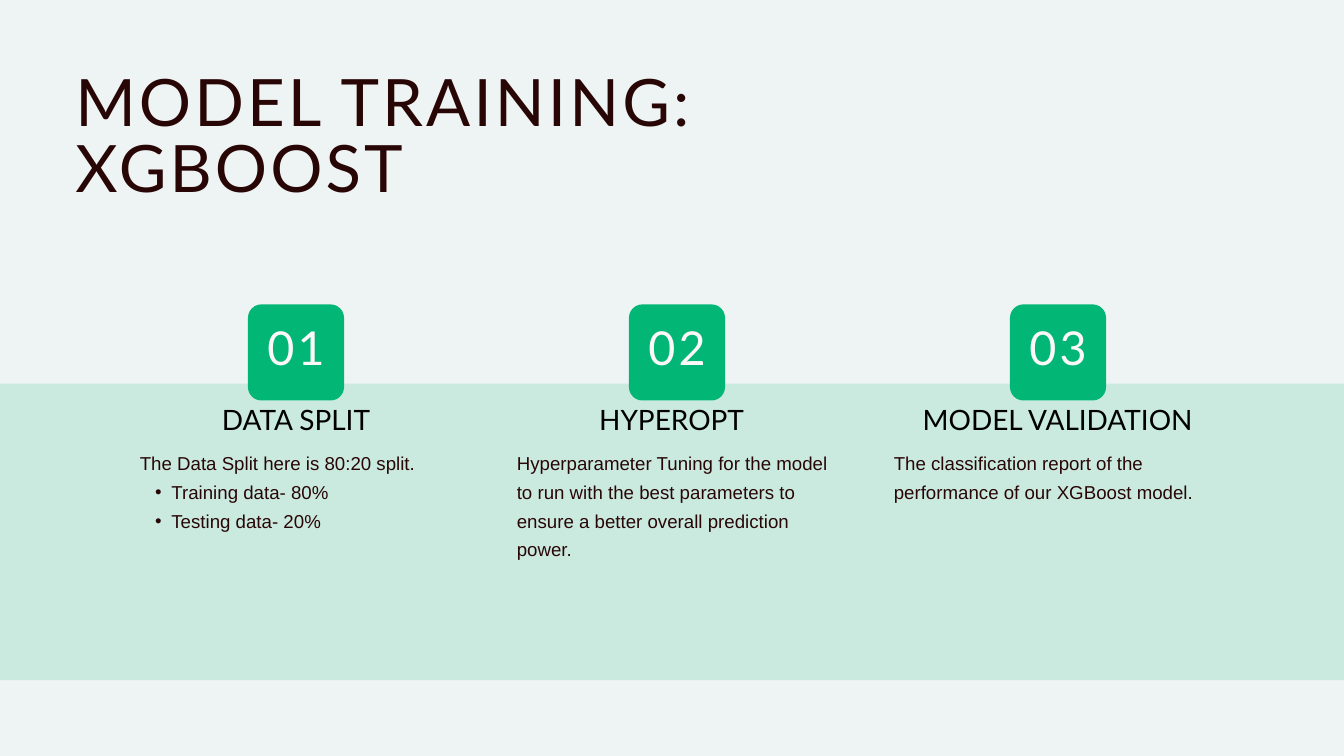
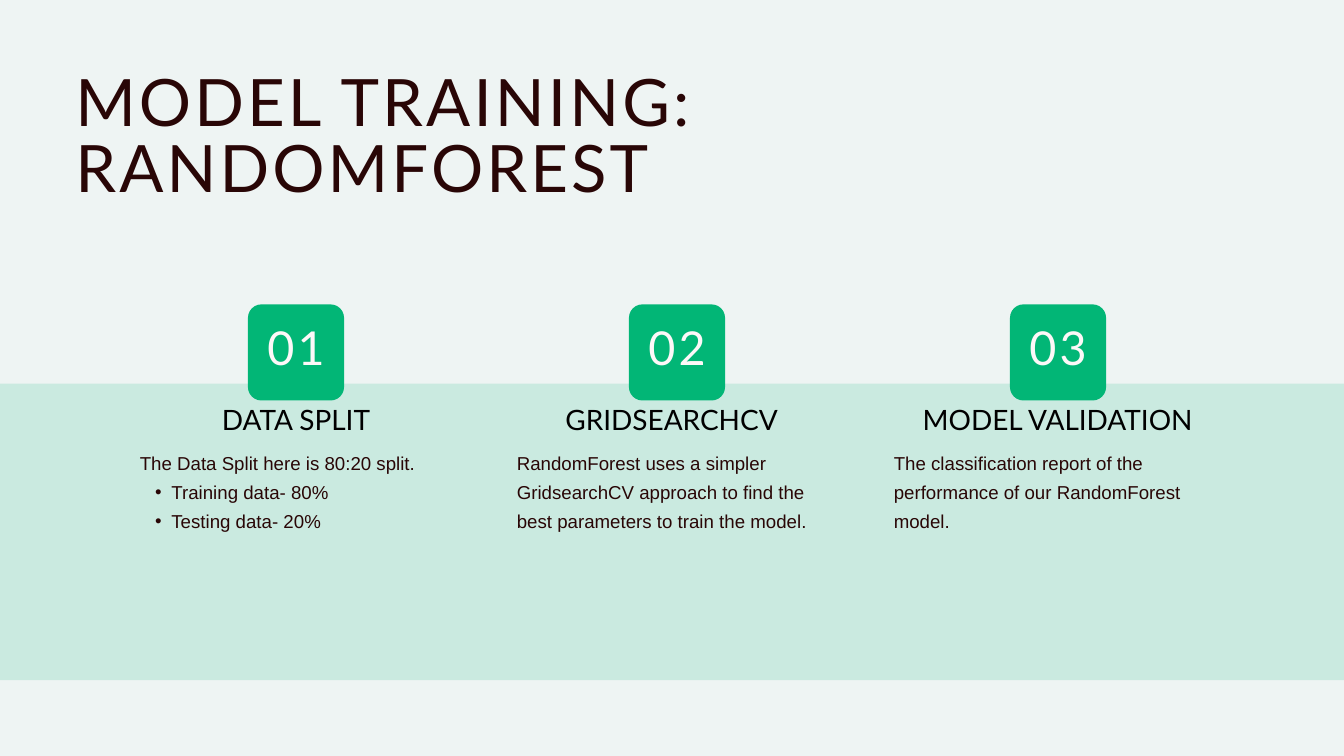
from dataclasses import dataclass

from lxml import etree
from pptx import Presentation
from pptx import util as u
from pptx.dml.color import RGBColor
from pptx.enum import shapes, text
from pptx.oxml.ns import qn


@dataclass(frozen=True)
class Style:
    font: str
    size: float
    color: str
    line: float
    spacing: float = 0
    align: text.PP_ALIGN = text.PP_ALIGN.LEFT


@dataclass(frozen=True)
class Theme:
    background: str = "EEF4F3"
    green: str = "02B676"
    band_opacity: int = 15
    title: Style = Style("Lato", 70, "290606", 70, 3.4)
    number: Style = Style("Lato", 50, "FDF8F8", 51.5, 3.5, text.PP_ALIGN.CENTER)
    heading: Style = Style("Lato", 30, "000000", 42, 0, text.PP_ALIGN.CENTER)
    body: Style = Style("Arial", 20, "290606", 30.8)


@dataclass(frozen=True)
class Area:
    left: float
    top: float
    width: float
    height: float

    def lengths(self) -> tuple:
        return tuple(u.Inches(n) for n in (self.left, self.top, self.width, self.height))


@dataclass(frozen=True)
class Step:
    heading: str
    intro: str
    bullets: tuple[str, ...] = ()


@dataclass(frozen=True)
class Page:
    title: str
    steps: tuple[Step, ...]


THEME = Theme()
TITLE_AREA = Area(1.12, 1.11, 10, 2.14)
BAND_AREA = Area(-0.43, 5.71, 20.85, 4.41)
HEADING_AREAS = (Area(2.62, 5.9, 3.57, 0.65), Area(8.21, 5.9, 3.57, 0.65),
                 Area(13.71, 5.9, 4.06, 0.65))
BADGE_LEFT, BADGE_TOP, BADGE_SIZE, BADGE_PITCH = 3.69, 4.53, 1.43, 5.67
BODY_LEFT, BODY_TOP, BODY_PITCH = 2.08, 6.63, 5.61
BODY_WIDTH, BODY_HEIGHT = 4.88, 1.72

DATA_SPLIT = Step("DATA SPLIT", "The Data Split here is 80:20 split.",
                  ("Training data- 80%", "Testing data- 20%"))


def validation(model: str) -> Step:
    return Step("MODEL VALIDATION",
                f"The classification report of the performance of our {model} model.")


PAGES = (
    Page("MODEL TRAINING: XGBOOST", (
        DATA_SPLIT,
        Step("HYPEROPT", "Hyperparameter Tuning for the model to run with the best "
             "parameters to ensure a better overall prediction power."),
        validation("XGBoost"))),
    Page("MODEL TRAINING: RANDOMFOREST", (
        DATA_SPLIT,
        Step("GRIDSEARCHCV", "RandomForest uses a simpler GridsearchCV approach to find "
             "the best parameters to train the model."),
        validation("RandomForest"))),
)


# Text
def set_bullet(para, bulleted: bool) -> None:
    props = para._p.get_or_add_pPr()
    margin, indent = (0.47, -0.24) if bulleted else (0, 0)
    props.set("marL", str(u.Inches(margin)))
    props.set("indent", str(u.Inches(indent)))
    if bulleted:
        etree.SubElement(props, qn("a:buFont")).set("typeface", "Arial")
        etree.SubElement(props, qn("a:buChar")).set("char", "•")
    else:
        etree.SubElement(props, qn("a:buNone"))


def write(box, lines: tuple[str, ...], style: Style,
          anchor=text.MSO_ANCHOR.TOP, inset: float = 0) -> None:
    """Fill a box; every line after the first is a bullet."""
    frame = box.text_frame
    frame.word_wrap = True
    frame.auto_size = text.MSO_AUTO_SIZE.NONE
    frame.vertical_anchor = anchor
    frame.margin_left = frame.margin_right = u.Inches(inset)
    frame.margin_top = frame.margin_bottom = u.Inches(inset)
    for index, line in enumerate(lines):
        para = frame.add_paragraph() if index else frame.paragraphs[0]
        para.level = 1 if index else 0
        para.alignment = style.align
        para.line_spacing = u.Pt(style.line)
        para.space_before = para.space_after = u.Pt(0)
        set_bullet(para, index > 0)
        span = para.add_run()
        span.text = line
        span.font.name = style.font
        span.font.size = u.Pt(style.size)
        span.font.color.rgb = RGBColor.from_string(style.color)
        if style.spacing:
            span._r.get_or_add_rPr().set("spc", str(round(style.spacing * 100)))


def place(box, area: Area) -> None:
    box.left, box.top, box.width, box.height = area.lengths()


# Shapes
def add_panel(page, area: Area, radius: float):
    panel = page.shapes.add_shape(shapes.MSO_SHAPE.ROUNDED_RECTANGLE, *area.lengths())
    panel.adjustments[0] = radius / min(area.width, area.height)
    panel.shadow.inherit = False
    panel.fill.solid()
    panel.fill.fore_color.rgb = RGBColor.from_string(THEME.green)
    panel.line.fill.background()
    return panel


def add_band(page) -> None:
    band = add_panel(page, BAND_AREA, 0.04)
    color = band.element.spPr.find(f".//{qn('a:srgbClr')}")
    etree.SubElement(color, qn("a:alpha")).set("val", str(THEME.band_opacity * 1000))
    # Behind the placeholders
    band.element.getparent().insert(2, band.element)


def add_badge(page, index: int) -> None:
    left = BADGE_LEFT + index * BADGE_PITCH
    badge = add_panel(page, Area(left, BADGE_TOP, BADGE_SIZE, BADGE_SIZE), 0.2)
    write(badge, (f"{index + 1:02d}",), THEME.number, text.MSO_ANCHOR.MIDDLE, 0.06)
    badge.text_frame.margin_bottom = u.Inches(0.11)


def add_step(page, index: int, step: Step) -> None:
    add_badge(page, index)
    heading = page.shapes.add_textbox(*HEADING_AREAS[index].lengths())
    write(heading, (step.heading,), THEME.heading)
    area = Area(BODY_LEFT + index * BODY_PITCH, BODY_TOP, BODY_WIDTH, BODY_HEIGHT)
    if step.bullets:
        body = page.placeholders[1]
        place(body, area)
    else:
        body = page.shapes.add_textbox(*area.lengths())
    write(body, (step.intro, *step.bullets), THEME.body)


def add_page(deck, content: Page) -> None:
    page = deck.slides.add_slide(deck.slide_layouts[1])
    add_band(page)
    place(page.shapes.title, TITLE_AREA)
    write(page.shapes.title, (content.title,), THEME.title)
    for index, step in enumerate(content.steps):
        add_step(page, index, step)


def main() -> None:
    deck = Presentation()
    deck.slide_width, deck.slide_height = u.Inches(20), u.Inches(11.25)
    backdrop = deck.slide_master.background.fill
    backdrop.solid()
    backdrop.fore_color.rgb = RGBColor.from_string(THEME.background)
    for content in PAGES:
        add_page(deck, content)
    deck.save("out.pptx")


if __name__ == "__main__":
    main()
